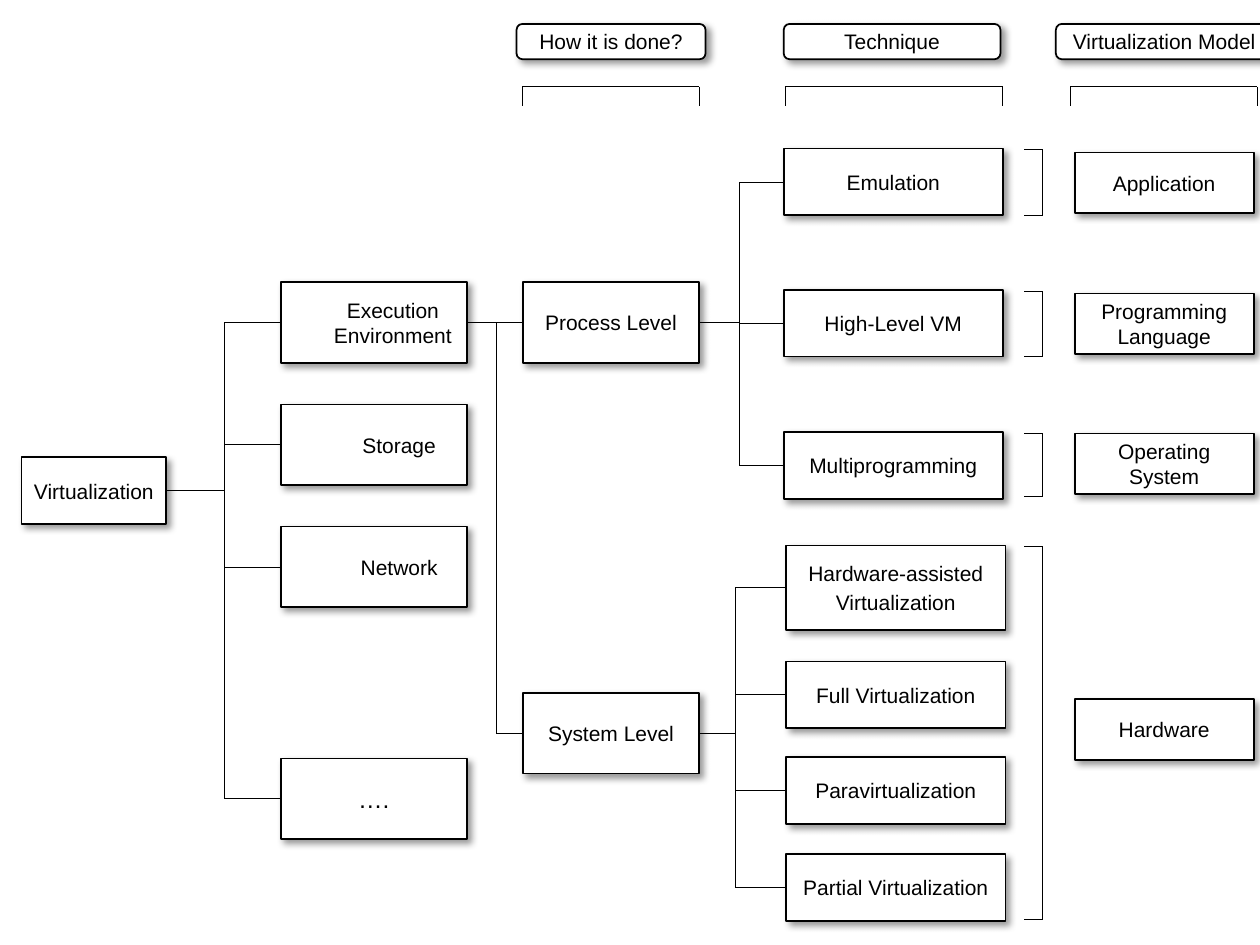
from dataclasses import dataclass
from itertools import pairwise

import lxml.etree
import pptx
import pptx.dml.color
import pptx.enum.shapes
import pptx.enum.text
import pptx.oxml.ns
import pptx.util

CELL = 0.1  # inches per grid column and row; the slide is 100 by 75 cells
SHAPES = pptx.enum.shapes.MSO_SHAPE


@dataclass(frozen=True)
class Theme:
    font: str = "Arial"
    ink: str = "000000"
    paper: str = "FFFFFF"
    text_size: float = 12
    dots_size: float = 14
    paragraph_gap: float = 2.4
    border: float = 1
    rule: float = 0.5


@dataclass(frozen=True)
class Box:
    left: float
    top: float
    width: float
    height: float

    def band(self, top, height):
        """A full-width band, measured from the top of this box."""
        return Box(self.left, self.top + top, self.width, height)


THEME = Theme()


def cells(count):
    return pptx.util.Inches(count * CELL)


def color(value):
    return pptx.dml.color.RGBColor.from_string(value)


def add_shadow(shape):
    shape.shadow.inherit = False
    name = pptx.oxml.ns.qn
    effects = shape._element.spPr.find(name("a:effectLst"))
    outer = lxml.etree.SubElement(effects, name("a:outerShdw"), blurRad="50800",
                                  dist="38100", dir="2700000", algn="tl", rotWithShape="0")
    shade = lxml.etree.SubElement(outer, name("a:srgbClr"), val=THEME.ink)
    lxml.etree.SubElement(shade, name("a:alpha"), val="40000")


def draw_node(slide, box, text, kind=SHAPES.RECTANGLE, size=THEME.text_size, left=1, right=1):
    shape = slide.shapes.add_shape(kind, *map(cells, (box.left, box.top, box.width, box.height)))
    shape.fill.solid()
    shape.fill.fore_color.rgb = color(THEME.paper)
    shape.line.color.rgb = color(THEME.ink)
    shape.line.width = pptx.util.Pt(THEME.border)
    add_shadow(shape)

    frame = shape.text_frame
    frame.word_wrap = True
    frame.vertical_anchor = pptx.enum.text.MSO_ANCHOR.MIDDLE
    frame.margin_left, frame.margin_right = cells(left), cells(right)
    frame.margin_top = frame.margin_bottom = cells(0.5)
    for index, words in enumerate(text.split("\n")):
        paragraph = frame.add_paragraph() if index else frame.paragraphs[0]
        paragraph.alignment = pptx.enum.text.PP_ALIGN.CENTER
        if index:
            paragraph.space_before = pptx.util.Pt(THEME.paragraph_gap)
        run = paragraph.add_run()
        run.text = words
        run.font.name = THEME.font
        run.font.size = pptx.util.Pt(size)
        run.font.color.rgb = color(THEME.ink)
    return shape


def draw_line(slide, start, end):
    line = slide.shapes.add_connector(pptx.enum.shapes.MSO_CONNECTOR.STRAIGHT, *start, *end)
    line.line.color.rgb = color(THEME.ink)
    line.line.width = pptx.util.Pt(THEME.rule)
    lxml.etree.SubElement(line._element.spPr, pptx.oxml.ns.qn("a:effectLst"))
    return line


def draw_polyline(slide, points):
    corners = [(cells(x), cells(y)) for x, y in points]
    for start, end in pairwise(corners):
        draw_line(slide, start, end)


def draw_fork(slide, parent, trunk, children):
    """Join a parent to its children through a vertical trunk."""
    x = cells(trunk)
    middle = parent.top + parent.height // 2
    stem = draw_line(slide, (parent.left + parent.width, middle), (x, middle))
    stem.begin_connect(parent, 3)
    heights = [child.top + child.height // 2 for child in children]
    draw_line(slide, (x, min(heights)), (x, max(heights)))
    for child, y in zip(children, heights):
        branch = draw_line(slide, (x, y), (child.left, y))
        branch.end_connect(child, 1)


def draw_heading(slide, box, text, bracket_left, bracket_width):
    draw_node(slide, box.band(0, 2.8), text, SHAPES.ROUNDED_RECTANGLE)
    left, right = box.left + bracket_left, box.left + bracket_left + bracket_width
    top, bottom = box.top + 5, box.top + box.height
    draw_polyline(slide, [(left, bottom), (left, top), (right, top), (right, bottom)])


def draw_categories(slide, box):
    entries = [("Execution Environment", 0, 4, THEME.text_size),
               ("Storage", 9.7, 5, THEME.text_size),
               ("Network", 19.4, 5, THEME.text_size),
               ("….", 37.8, 1, THEME.dots_size)]
    return [draw_node(slide, box.band(top, 6.4), text, size=size, left=inset)
            for text, top, inset, size in entries]


def draw_levels(slide, box):
    return [draw_node(slide, box.band(0, 6.4), "Process Level"),
            draw_node(slide, box.band(box.height - 6.4, 6.4), "System Level")]


def draw_techniques(slide, box, entries):
    return [draw_node(slide, box.band(top, height), text) for text, top, height in entries]


def draw_models(slide, box):
    """Each model stands beside a bracket that spans its techniques."""
    entries = [("Application", 0.2, 0, 5.2),
               ("Programming Language", 11.4, 11.2, 5.2),
               ("Operating System", 22.5, 22.5, 5),
               ("Hardware", 43.6, 31.5, 29.6)]
    inner, outer = box.left - 4, box.left - 2.55
    for text, top, bracket_top, span in entries:
        upper = box.top + bracket_top
        lower = upper + span
        draw_polyline(slide, [(inner, upper), (outer, upper), (outer, lower), (inner, lower)])
        draw_node(slide, box.band(top, 4.8), text)


def main():
    presentation = pptx.Presentation()
    presentation.slide_width, presentation.slide_height = cells(100), cells(75)
    slide = presentation.slides.add_slide(presentation.slide_layouts[6])

    # Column headings
    draw_heading(slide, Box(41, 1.9, 15, 6.5), "How it is done?", 0.45, 14.05)
    draw_heading(slide, Box(62.2, 1.9, 17.2, 6.5), "Technique", 0.1, 17.3)
    draw_heading(slide, Box(83.8, 1.9, 17.2, 6.5), "Virtualization Model", 1.15, 14.85)

    # Tree nodes, from the root to the techniques
    root = draw_node(slide, Box(1.7, 36.3, 11.5, 5.3), "Virtualization", left=0.5, right=0.5)
    categories = draw_categories(slide, Box(22.3, 22.4, 14.75, 44.2))
    levels = draw_levels(slide, Box(41.5, 22.4, 14, 39))
    process = draw_techniques(slide, Box(62.2, 11.8, 17.4, 27.8), [
        ("Emulation", 0, 5.3), ("High-Level VM", 11.2, 5.3), ("Multiprogramming", 22.5, 5.3)])
    system = draw_techniques(slide, Box(62.4, 43.3, 17.4, 29.8), [
        ("Hardware-assisted\nVirtualization", 0, 6.7), ("Full Virtualization", 9.2, 5.3),
        ("Paravirtualization", 16.8, 5.3), ("Partial Virtualization", 24.5, 5.3)])

    # Branches
    draw_fork(slide, root, 17.8, categories)
    draw_fork(slide, categories[0], 39.4, levels)
    draw_fork(slide, levels[0], 58.7, process)
    draw_fork(slide, levels[1], 58.35, system)

    # Models with their brackets
    draw_models(slide, Box(85.3, 11.9, 14.2, 61.1))

    presentation.save("out.pptx")


if __name__ == "__main__":
    main()
